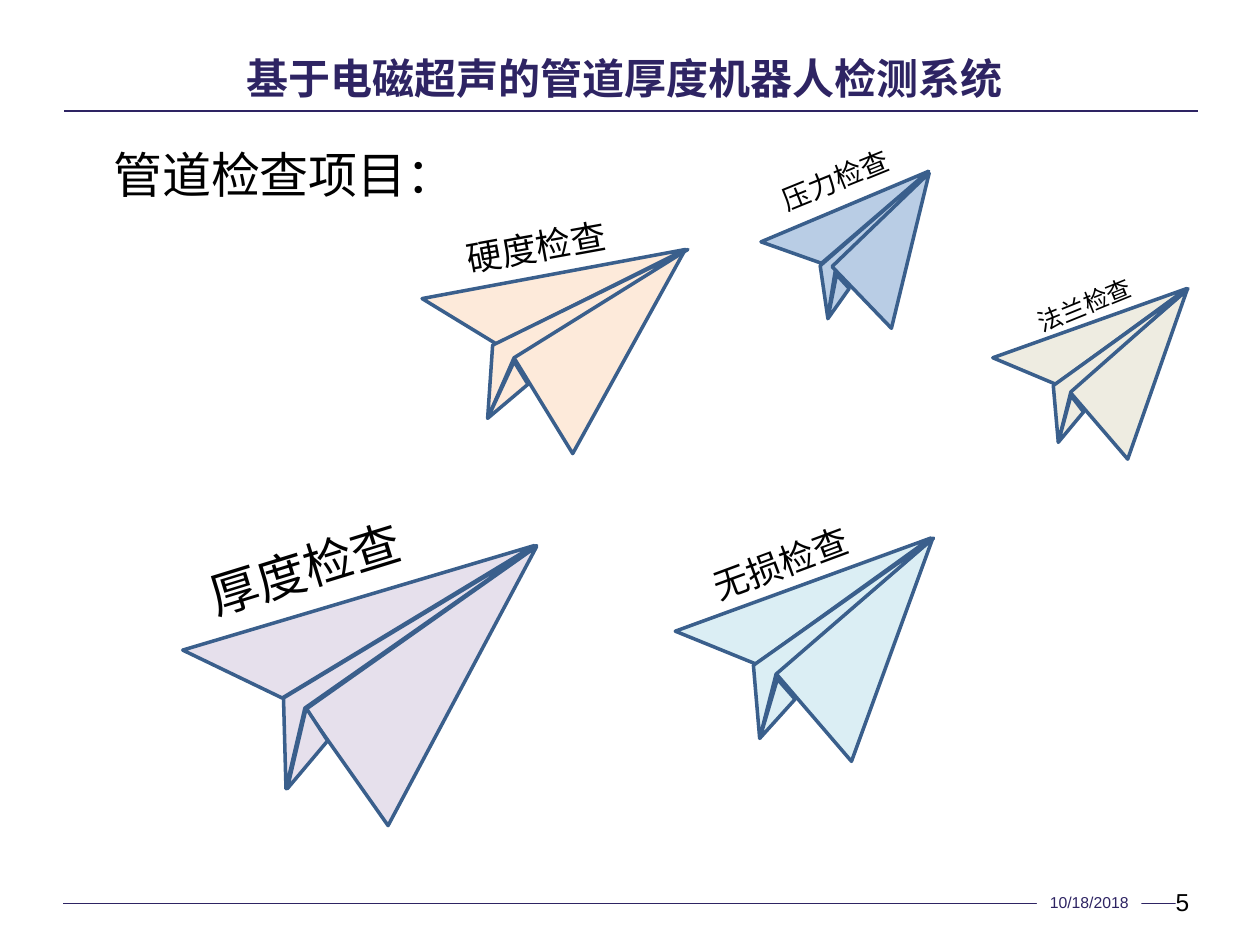
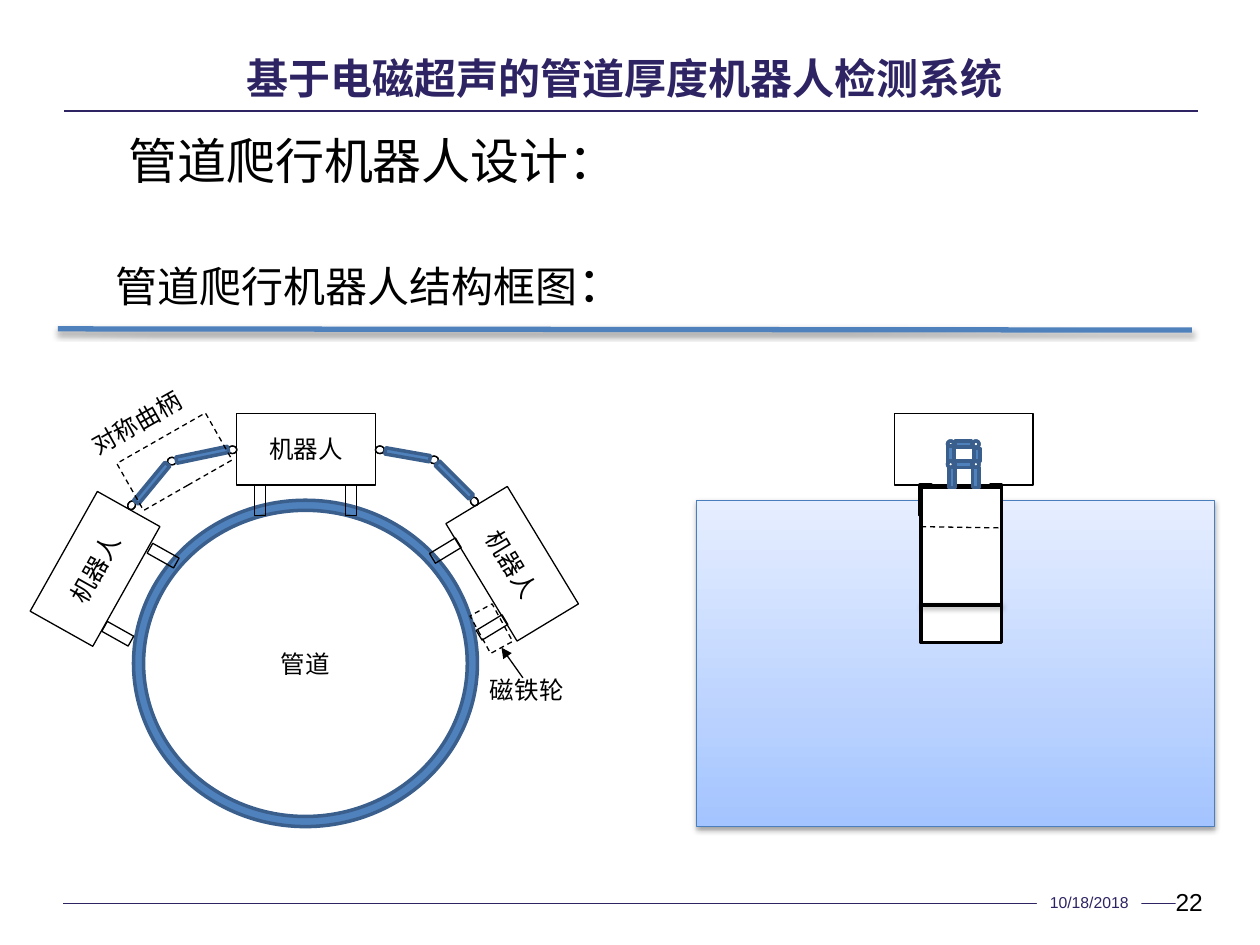
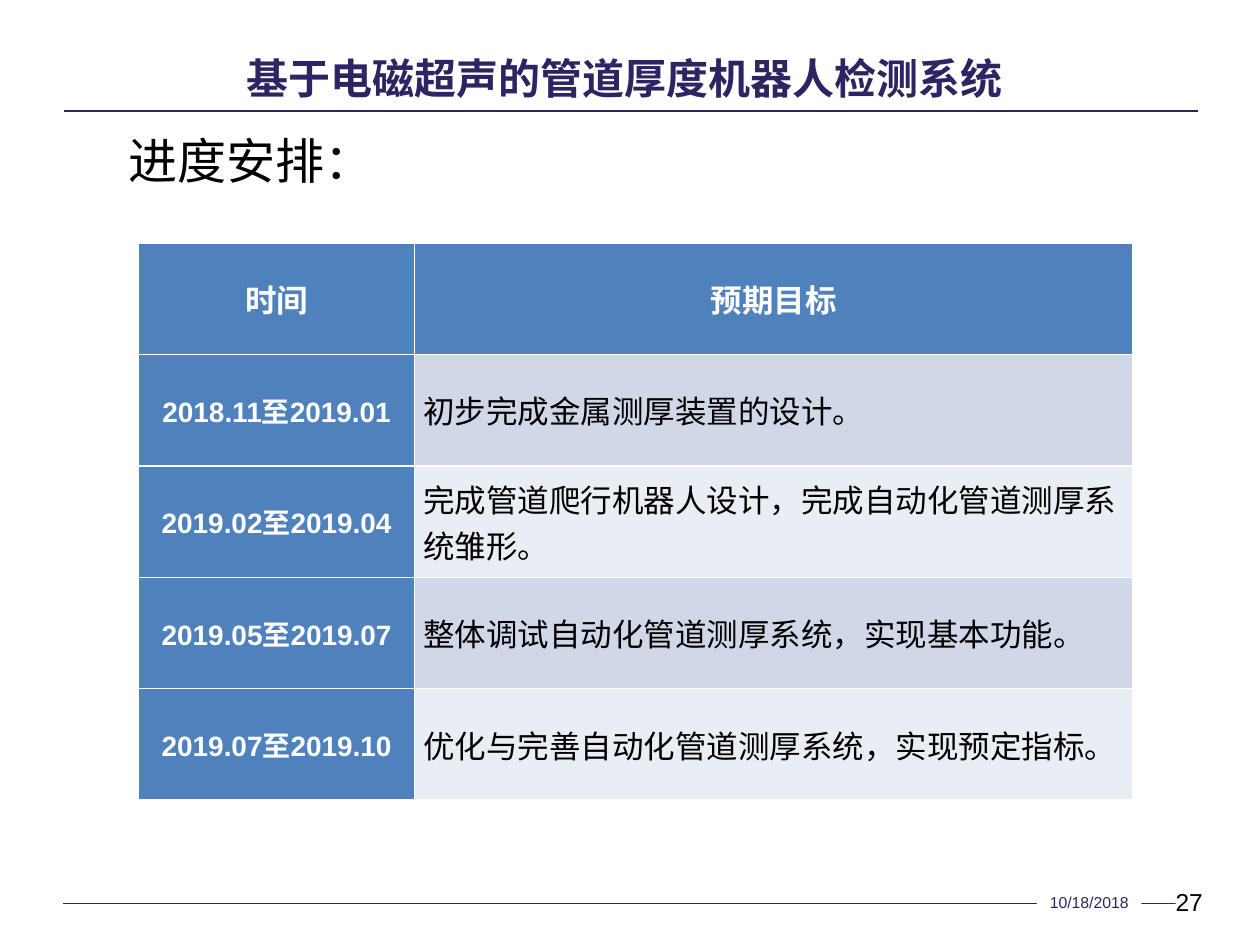
from pptx import Presentation
from pptx.dml.color import RGBColor
from pptx.enum.dml import MSO_LINE
from pptx.enum.shapes import MSO_CONNECTOR, MSO_SHAPE
from pptx.enum.text import MSO_ANCHOR, MSO_AUTO_SIZE, PP_ALIGN
from pptx.oxml import parse_xml
from pptx.oxml.ns import nsdecls, qn
from pptx.shapes.connector import Connector
from pptx.util import Inches, Pt
from lxml.etree import SubElement

NAVY = RGBColor(0x2E, 0x24, 0x63)
BLACK = RGBColor(0, 0, 0)
WHITE = RGBColor(0xFF, 0xFF, 0xFF)
BLUE = RGBColor(0x4F, 0x81, 0xBD)
STEEL = RGBColor(0x3A, 0x5F, 0x8C)
TANK_EDGE = RGBColor(0x4B, 0x7E, 0xBC)
TANK_BOTTOM = RGBColor(0xA4, 0xC4, 0xFF)
TANK_TOP = RGBColor(0xE6, 0xEE, 0xFF)
BANDS = [RGBColor(0xD0, 0xD8, 0xE8), RGBColor(0xE9, 0xED, 0xF4)]
LILAC = RGBColor(0xE6, 0xE0, 0xEC)
PEACH = RGBColor(0xFD, 0xEA, 0xDA)
AQUA = RGBColor(0xDB, 0xEE, 0xF4)
SKY = RGBColor(0xB9, 0xCD, 0xE5)
CREAM = RGBColor(0xEE, 0xEC, 0xE1)

LATIN, HAN = "Arial", "Noto Sans CJK SC"
TITLE = "基于电磁超声的管道厚度机器人检测系统"
NO_EFFECT = f"<a:effectLst {nsdecls('a')}/>"
SOFT_SHADOW = (
    f"<a:effectLst {nsdecls('a')}>"
    '<a:outerShdw blurRad="40000" dist="21000" dir="5400000" rotWithShape="0">'
    '<a:srgbClr val="000000"><a:alpha val="37000"/></a:srgbClr>'
    "</a:outerShdw></a:effectLst>"
)


def add_run(para, text, size, color=BLACK, bold=False, font=LATIN):
    span = para.add_run()
    span.text = text
    span.font.name = font
    span.font.size = Pt(size)
    span.font.bold = bold
    span.font.color.rgb = color


def style(shape, fill=None, line=None, width=1, dash=None, effect=NO_EFFECT):
    """Set fill, outline and shadow of a shape or a connector."""
    if fill is not None:
        shape.fill.solid()
        shape.fill.fore_color.rgb = fill
    elif not isinstance(shape, Connector):
        shape.fill.background()
    if line is None:
        shape.line.fill.background()
    else:
        shape.line.color.rgb = line
        shape.line.width = Pt(width)
        if dash is not None:
            shape.line.dash_style = dash
    shape.element.spPr.append(parse_xml(effect))


deck = Presentation()
deck.slide_width, deck.slide_height = Inches(10), Inches(7.5)
layout = deck.slide_layouts[5]
pages = [deck.slides.add_slide(layout) for _ in range(3)]
planes_page, robot_page, schedule_page = pages

# Shared frame: rules and date sit on the layout
layout_title = layout.placeholders[0]
layout_title.left, layout_title.top = Inches(0.46), Inches(0.42)
layout_title.width, layout_title.height = Inches(9), Inches(0.48)
frame_parts = []
for left, right, y in [(0.5, 9.67, 7.17), (0.51, 9.51, 0.88)]:
    rule = planes_page.shapes.add_connector(
        MSO_CONNECTOR.STRAIGHT, Inches(left), Inches(y), Inches(right), Inches(y))
    style(rule, line=NAVY)
    frame_parts.append(rule)

footers = [(planes_page, "10/18/2018", 9, NAVY, PP_ALIGN.CENTER, (8.23, 7.08, 0.83, 0.16))]
for page, number in zip(pages, ["5", "22", "27"]):
    footers.append((page, number, 14, BLACK, PP_ALIGN.LEFT, (9.33, 7.04, 0.37, 0.24)))
for page, text, size, color, align, place in footers:
    footer = page.shapes.add_shape(MSO_SHAPE.RECTANGLE, *map(Inches, place))
    style(footer, fill=WHITE)
    frame = footer.text_frame
    frame.margin_left = frame.margin_top = frame.margin_right = frame.margin_bottom = 0
    frame.paragraphs[0].alignment = align
    add_run(frame.paragraphs[0], text, size, color)
    if color == NAVY:
        frame_parts.append(footer)
for part in frame_parts:
    layout.shapes.element.append(part.element)

for page in pages:
    frame = page.shapes.title.text_frame
    frame.margin_left = frame.margin_top = frame.margin_right = frame.margin_bottom = 0
    frame.auto_size = MSO_AUTO_SIZE.NONE
    frame.vertical_anchor = MSO_ANCHOR.TOP
    frame.paragraphs[0].alignment = PP_ALIGN.CENTER
    add_run(frame.paragraphs[0], TITLE, 24, NAVY, bold=True)

# Paper planes: lists are outlines, tuples are flaps (left, top, width, height, rotation)
planes = [
    (LILAC, [
        [(4.24, 4.33), (1.45, 5.16), (2.24, 5.54)],
        (2.55, 4.88, 2.24, 1.13, 324.8),
        [(2.25, 5.54), (2.27, 6.26), (2.42, 5.62), (4.26, 4.33)],
        [(2.43, 5.62), (2.28, 6.26), (2.6, 5.88)]]),
    (PEACH, [
        [(5.44, 1.98), (3.35, 2.37), (3.94, 2.73)],
        (4.19, 2.34, 1.6, 0.91, 328.5),
        [(3.91, 2.74), (3.87, 3.32), (4.08, 2.84), (5.46, 1.98)],
        [(3.87, 3.32), (4.19, 3.05), (4.08, 2.87)]]),
    (AQUA, [
        [(7.39, 4.27), (5.36, 5.01), (6, 5.27)],
        (6.26, 4.7, 1.64, 0.92, 319.3),
        [(5.98, 5.28), (6.03, 5.86), (6.16, 5.35), (7.41, 4.27)],
        [(6.03, 5.86), (6.31, 5.55), (6.17, 5.39)]]),
    (SKY, [
        [(6.57, 2.53), (6.74, 2.29), (6.64, 2.18)],
        [(6.51, 2.11), (6.57, 2.52), (6.63, 2.15), (7.37, 1.36)],
        [(7.37, 1.36), (6.04, 1.92), (6.52, 2.09)],
        (6.69, 1.65, 1.07, 0.68, 316.1)]),
    (CREAM, [
        [(9.42, 2.29), (7.88, 2.84), (8.38, 3.05)],
        (8.57, 2.62, 1.23, 0.71, 319.3),
        [(8.36, 3.06), (8.4, 3.51), (8.5, 3.11), (9.43, 2.29)],
        [(8.4, 3.51), (8.6, 3.27), (8.5, 3.14)]]),
]
for color, parts in planes:
    for part in parts:
        if isinstance(part, tuple):
            *place, rotation = part
            shape = planes_page.shapes.add_shape(
                MSO_SHAPE.ISOSCELES_TRIANGLE, *map(Inches, place))
            shape.adjustments[0] = 0
            shape.element.spPr.xfrm.set("flipV", "1")
            shape.rotation = rotation
        else:
            points = [(Inches(x), Inches(y)) for x, y in part]
            builder = planes_page.shapes.build_freeform(*points[0])
            builder.add_line_segments(points[1:], close=True)
            shape = builder.convert_to_shape()
        style(shape, color, STEEL, 2)

# Robot drawing: look, preset, adjustment, text, places with rotation
THIN = (None, BLACK, 0.75)
DASHED = (None, BLACK, 0.75, MSO_LINE.DASH)
SOLID_BLUE = (BLUE, STEEL, 2)
HEAVY = (WHITE, BLACK, 2)
TANK = (TANK_TOP, TANK_EDGE, 0.75, None, SOFT_SHADOW)
BOX, RING = MSO_SHAPE.RECTANGLE, MSO_SHAPE.DONUT
drawing = [
    (SOLID_BLUE, RING, 0.031, "管道", [(1.06, 3.97, 2.73, 2.59, 0)]),
    (THIN, BOX, None, "机器人", [
        (1.88, 3.28, 1.1, 0.57, 0), (0.21, 4.23, 1.09, 0.57, 299.3),
        (3.52, 4.19, 1.09, 0.57, 58.8)]),
    (THIN, BOX, None, "", [  # legs
        (left, top, 0.09, 0.24, turn) for left, top, turn in [
            (2.02, 3.85, 0), (2.74, 3.85, 0), (0.89, 4.91, 299.3),
            (1.25, 4.29, 299.3), (3.49, 4.25, 58.8), (3.86, 4.86, 58.8)]]),
    (THIN, RING, 0, "", [  # joints
        (left, top, 0.07, 0.06, turn) for left, top, turn in [
            (1.81, 3.54, 0), (2.98, 3.54, 0), (1.01, 3.98, 299.3),
            (3.73, 3.95, 58.8), (1.33, 3.63, 0), (3.41, 3.62, 0)]]),
    (SOLID_BLUE, BOX, None, "", [  # crank arms
        (1.18, 3.64, 0.05, 0.39, 39.5), (1.58, 3.4, 0.05, 0.42, 78.2),
        (3.58, 3.62, 0.05, 0.38, 134.9), (3.21, 3.43, 0.05, 0.36, 100)]),
    (DASHED, BOX, None, "", [
        (0.98, 3.45, 0.81, 0.43, 330.3), (3.73, 4.89, 0.34, 0.2, 61.3)]),
    (TANK, BOX, None, "", [(5.53, 3.97, 4.11, 2.59, 0)]),
    (THIN, BOX, None, "", [(7.1, 3.28, 1.1, 0.57, 0)]),
    (HEAVY, BOX, None, "", [
        (7.3, 3.85, 0.09, 0.24, 0), (7.86, 3.85, 0.09, 0.24, 0),
        (7.31, 3.87, 0.64, 1.23, 0)]),
    (SOLID_BLUE, RING, 0, "", [
        (left, top, 0.05, 0.05, 0) for top in (3.5, 3.66) for left in (7.52, 7.72)]),
    (SOLID_BLUE, BOX, None, "", [
        (7.58, 3.5, 0.13, 0.05, 0), (7.58, 3.66, 0.13, 0.05, 0),
        (7.53, 3.71, 0.05, 0.16, 0), (7.72, 3.71, 0.05, 0.16, 0),
        (7.52, 3.54, 0.05, 0.12, 0), (7.73, 3.56, 0.05, 0.1, 0)]),
]
for look, preset, adjustment, text, places in drawing:
    for *place, rotation in places:
        shape = robot_page.shapes.add_shape(preset, *map(Inches, place))
        shape.rotation = rotation
        style(shape, *look)
        if adjustment is not None:
            shape.adjustments[0] = adjustment
        if text:
            para = shape.text_frame.paragraphs[0]
            para.alignment = PP_ALIGN.CENTER
            add_run(para, text, 14, font=LATIN if preset == RING else HAN)
        if look is TANK:
            shape.fill.gradient()
            shape.fill.gradient_angle = 90
            for stop, color in zip(shape.fill.gradient_stops, [TANK_BOTTOM, TANK_TOP]):
                stop.color.rgb = color

robot_lines = [
    ((0.46, 2.61, 9.46, 2.62), (None, BLUE, 3, None, SOFT_SHADOW)),
    ((7.31, 4.8, 7.96, 4.8), (None, BLACK, 2, None, SOFT_SHADOW)),
    ((7.31, 4.18, 7.95, 4.19), DASHED),
    ((4.15, 5.38, 3.98, 5.14), THIN),
]
for ends, look in robot_lines:
    line = robot_page.shapes.add_connector(MSO_CONNECTOR.STRAIGHT, *map(Inches, ends))
    style(line, *look)
    if look is THIN:
        SubElement(line.element.spPr.find(qn("a:ln")), qn("a:tailEnd"), type="triangle")

# Headings and labels: page, place, rotation, font, runs
labels = [
    (planes_page, (0.8, 1.1, 3.89, 0.57), 0, LATIN, [("管道检查项目：", 28)]),
    (planes_page, (1.53, 4.14, 2.33, 0.57), 342.9, LATIN, [("厚度检查", 28)]),
    (planes_page, (3.6, 1.74, 1.32, 0.44), 349.7, LATIN, [("硬度检查", 20)]),
    (planes_page, (5.54, 4.25, 1.32, 0.44), 339.6, LATIN, [("无损检查", 20)]),
    (planes_page, (6.09, 1.24, 1.1, 0.37), 337.9, LATIN, [("压力检查", 16)]),
    (planes_page, (8.12, 2.25, 0.99, 0.34), 337.9, LATIN, [("法兰检查", 14)]),
    (robot_page, (0.92, 0.99, 6.21, 0.57), 0, LATIN, [("管道爬行机器人设计：", 28)]),
    (robot_page, (0.82, 1.96, 7.34, 0.57), 0, LATIN,
     [("管道爬行机器人结构框图", 24), ("：", 28)]),
    (robot_page, (0.59, 3.13, 1.2, 0.37), 330.6, HAN, [("对称曲柄", 14)]),
    (robot_page, (3.79, 5.31, 1.01, 0.34), 0, HAN, [("磁铁轮", 14)]),
    (schedule_page, (0.92, 0.99, 6.21, 0.57), 0, LATIN, [("进度安排：", 28)]),
]
for page, place, rotation, font, runs in labels:
    label = page.shapes.add_textbox(*map(Inches, place))
    label.rotation = rotation
    label.text_frame.word_wrap = True
    for text, size in runs:
        add_run(label.text_frame.paragraphs[0], text, size, font=font)

# Schedule
schedule = [
    ("时间", "预期目标"),
    ("2018.11至2019.01", "初步完成金属测厚装置的设计。"),
    ("2019.02至2019.04", "完成管道爬行机器人设计，完成自动化管道测厚系统雏形。"),
    ("2019.05至2019.07", "整体调试自动化管道测厚系统，实现基本功能。"),
    ("2019.07至2019.10", "优化与完善自动化管道测厚系统，实现预定指标。"),
]
table = schedule_page.shapes.add_table(
    len(schedule), 2, Inches(1.1), Inches(1.93), Inches(7.89), Inches(4.42)).table
table.columns[0].width, table.columns[1].width = Inches(2.19), Inches(5.7)
for row, texts in enumerate(schedule):
    for column, text in enumerate(texts):
        cell = table.cell(row, column)
        cell.vertical_anchor = MSO_ANCHOR.MIDDLE
        cell.margin_left = cell.margin_right = Inches(0.07)
        cell.margin_top = cell.margin_bottom = 0
        is_heading = row == 0 or column == 0
        cell.fill.solid()
        cell.fill.fore_color.rgb = BLUE if is_heading else BANDS[(row - 1) % 2]
        para = cell.text_frame.paragraphs[0]
        para.alignment = PP_ALIGN.CENTER if is_heading else PP_ALIGN.LEFT
        add_run(para, text, 16 if row and column == 0 else 18,
                WHITE if is_heading else BLACK, bold=is_heading)

deck.save("out.pptx")
